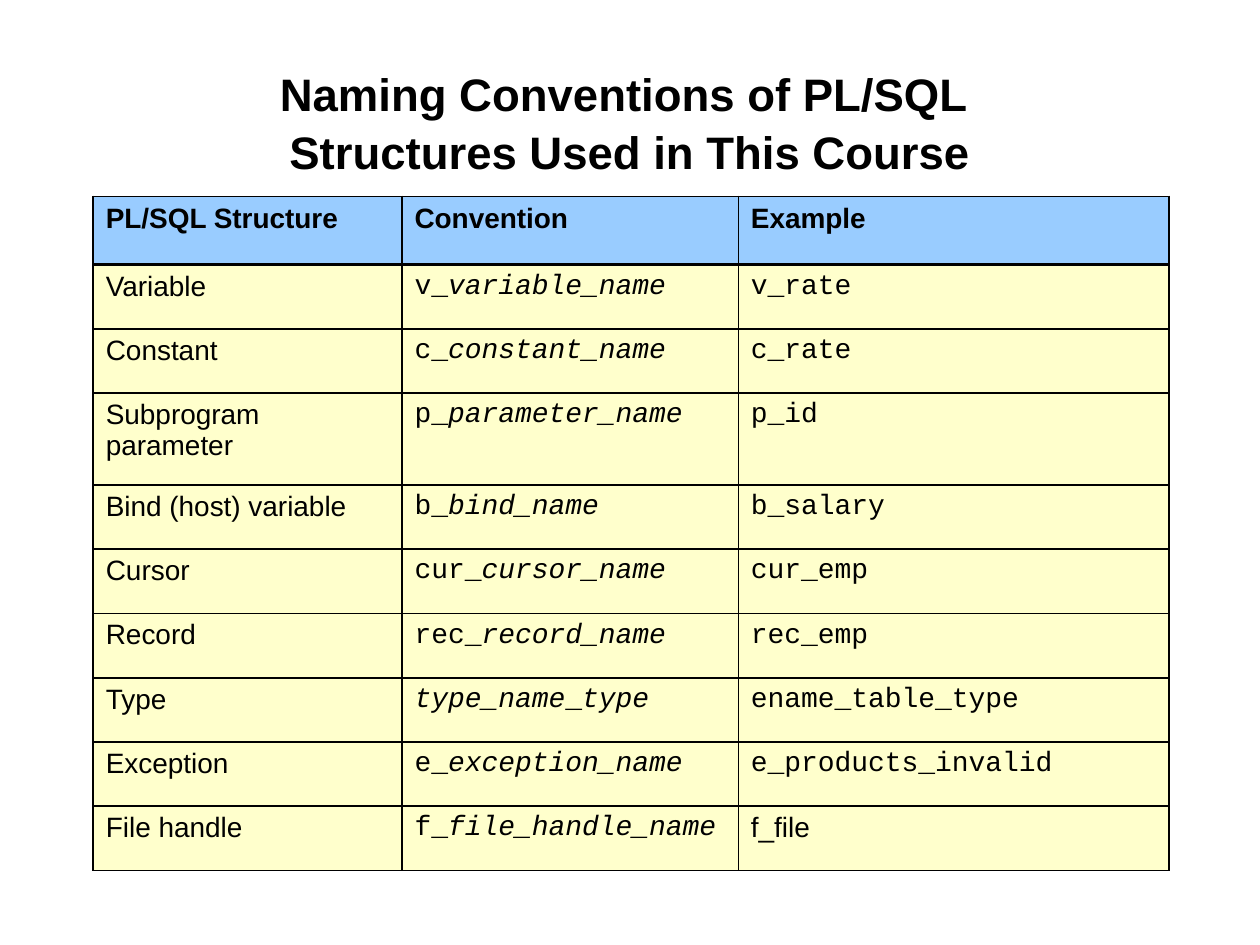
"""Build the slide on naming conventions of PL/SQL structures."""
from typing import NamedTuple

from lxml.etree import SubElement as Sub
from pptx import Presentation as Deck
from pptx.dml.color import RGBColor as Rgb
from pptx.enum.text import MSO_ANCHOR as Anchor, MSO_AUTO_SIZE as Fit, PP_ALIGN as Align
from pptx.oxml.ns import qn
from pptx.util import Inches, Pt

BLACK = Rgb(0x00, 0x00, 0x00)
BLUE = Rgb(0x99, 0xCC, 0xFF)
CREAM = Rgb(0xFF, 0xFF, 0xCC)
SANS = "Arial"
MONO = "Courier New"
THIN, THICK = 1.08, 2.21
WIDTHS = (2.45, 2.67, 3.42)
HEAD, TALL, ROW = 0.54, 0.73, 0.51


class Run(NamedTuple):
    text: str
    font: str = SANS
    bold: bool = False
    slant: bool = False


class Rule(NamedTuple):
    name: str
    form: tuple[str, str, str]
    sample: str
    font: str = MONO
    height: float = ROW


HEADS = ("PL/SQL Structure", "Convention", "Example")
RULES = (
    Rule("Variable", ("", "v_", "variable_name"), "v_rate"),
    Rule("Constant", ("", "c_", "constant_name"), "c_rate"),
    Rule("Subprogram parameter", ("", "p_", "parameter_name"), "p_id", height=TALL),
    Rule("Bind (host) variable", ("", "b_", "bind_name"), "b_salary"),
    Rule("Cursor", ("", "cur_", "cursor_name"), "cur_emp"),
    Rule("Record", ("", "rec_", "record_name"), "rec_emp"),
    Rule("Type", ("type_name", "_", "type"), "ename_table_type"),
    Rule("Exception", ("", "e_", "exception_name"), "e_products_invalid"),
    Rule("File handle", ("", "f_", "file_handle_name"), "f_file", SANS),
)


def style(font, run: Run, size: float) -> None:
    look = {"name": run.font, "size": Pt(size), "bold": run.bold, "italic": run.slant}
    for key, value in look.items():
        setattr(font, key, value)
    font.color.rgb = BLACK


def edge(cell, side: str, width: float) -> None:
    props = cell._tc.get_or_add_tcPr()
    line = Sub(props, qn(f"a:ln{side}"), w=str(int(Pt(width))))
    Sub(Sub(line, qn("a:solidFill")), qn("a:srgbClr"), val=str(BLACK))


def draw_cell(cell, runs: list[Run], fill: Rgb, top: float, base: float) -> None:
    for side, width in {"L": THIN, "R": THIN, "T": top, "B": base}.items():
        edge(cell, side, width)
    cell.fill.solid()
    cell.fill.fore_color.rgb = fill
    for item in runs:
        run = cell.text_frame.paragraphs[0].add_run()
        run.text = item.text
        style(run.font, item, 16)


def draw_title(shape) -> None:
    place = {"left": 0.67, "top": 0.48, "width": 8.66, "height": 0.96}
    for key, value in place.items():
        setattr(shape, key, Inches(value))
    frame = shape.text_frame
    for side in ("left", "top", "right", "bottom"):
        setattr(frame, f"margin_{side}", Inches(0.01))
    form = {"auto_size": Fit.NONE, "word_wrap": True, "vertical_anchor": Anchor.MIDDLE}
    for key, value in form.items():
        setattr(frame, key, value)
    frame.text = "Naming Conventions of PL/SQL \vStructures Used in This Course"
    para = frame.paragraphs[0]
    para.alignment = Align.CENTER
    para.line_spacing = 1.05
    for run in para.runs:
        style(run.font, Run(run.text, bold=True), 26)


def draw_table(slide) -> None:
    sizes = [HEAD, *(rule.height for rule in RULES)]
    box = [Inches(n) for n in (0.74, 1.56, sum(WIDTHS), sum(sizes))]
    table = slide.shapes.add_table(len(sizes), len(WIDTHS), *box).table
    table.horz_banding = False
    for col, width in zip(table.columns, WIDTHS):
        col.width = Inches(width)
    for row, size in zip(table.rows, sizes):
        row.height = Inches(size)
    for col, text in enumerate(HEADS):
        draw_cell(table.cell(0, col), [Run(text, bold=True)], BLUE, THIN, THICK)
    for row, rule in enumerate(RULES, 1):
        start, fixed, end = rule.form
        form = [Run(start, MONO, slant=True), Run(fixed, MONO), Run(end, MONO, slant=True)]
        cells = ([Run(rule.name)], [run for run in form if run.text],
                 [Run(rule.sample, rule.font)])
        for col, runs in enumerate(cells):
            draw_cell(table.cell(row, col), runs, CREAM, THICK if row == 1 else THIN, THIN)


def main() -> None:
    deck = Deck()
    deck.slide_width, deck.slide_height = Inches(10), Inches(7.5)
    slide = deck.slides.add_slide(deck.slide_layouts[5])
    draw_title(slide.shapes.title)
    draw_table(slide)
    deck.save("out.pptx")


if __name__ == "__main__":
    main()
